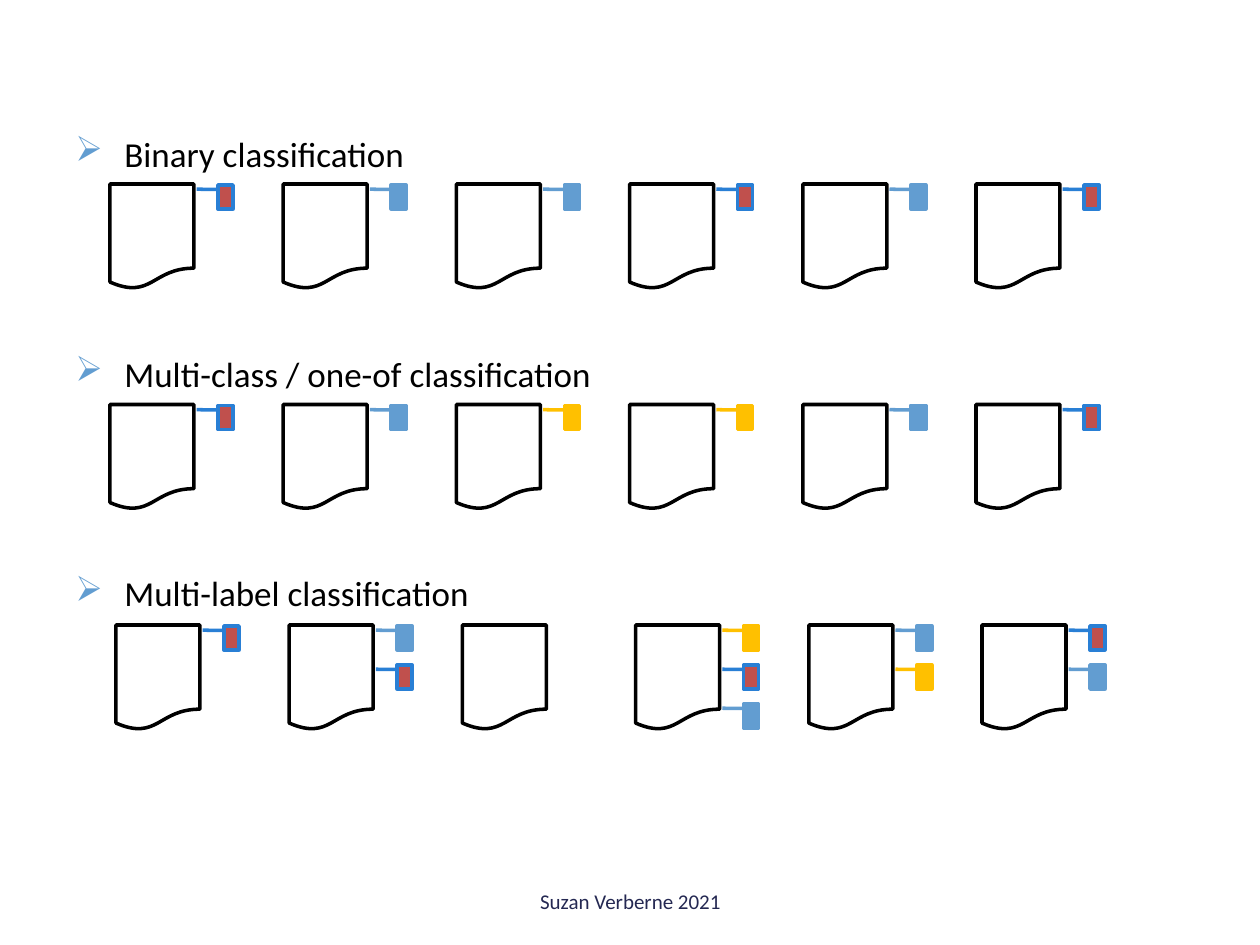
import pptx
import pptx.util
import pptx.dml.color
import pptx.enum.shapes
import pptx.enum.text
from lxml import etree
from pptx.oxml.ns import qn

RGB = pptx.dml.color.RGBColor
KIND = pptx.enum.shapes.MSO_SHAPE
ALIGN = pptx.enum.text.PP_ALIGN
ANCHOR = pptx.enum.text.MSO_ANCHOR

BLACK = RGB(0x00, 0x00, 0x00)
WHITE = RGB(0xFF, 0xFF, 0xFF)
NAVY = RGB(0x24, 0x28, 0x52)
SKY = RGB(0x62, 0x9D, 0xD1)
BLUE = RGB(0x29, 0x7F, 0xD5)
BRICK = RGB(0xC0, 0x50, 0x4D)
GOLD = RGB(0xFF, 0xC0, 0x00)

RED_TAG = (BRICK, BLUE)
SKY_TAG = (SKY, SKY)
GOLD_TAG = (GOLD, GOLD)

SCALE = 914400 / 126
ROW_STEP = 220.5
COL_STEP = 173.2
TAG_STEP = 39
CALLOUT = (0.188, -0.083, 0.188, -0.167, 0.179, -1.422)

ROWS = [
    ("Binary classification", 110,
     [[RED_TAG], [SKY_TAG], [SKY_TAG], [RED_TAG], [SKY_TAG], [RED_TAG]]),
    ("Multi-class / one-of classification", 110,
     [[RED_TAG], [SKY_TAG], [GOLD_TAG], [GOLD_TAG], [SKY_TAG], [RED_TAG]]),
    ("Multi-label classification", 116,
     [[RED_TAG], [SKY_TAG, RED_TAG], [], [GOLD_TAG, RED_TAG, SKY_TAG],
      [SKY_TAG, GOLD_TAG], [RED_TAG, SKY_TAG]]),
]


def px(num):
    """Turn pixels into EMU."""
    return pptx.util.Emu(round(num * SCALE))


def add_shape(shapes, kind, box, fill, line):
    """Add a filled, outlined preset shape without a shadow."""
    shape = shapes.add_shape(kind, *map(px, box))
    shape.shadow.inherit = False
    shape.fill.solid()
    shape.fill.fore_color.rgb = fill
    shape.line.color.rgb = line
    shape.line.width = pptx.util.Pt(2)
    return shape


def add_tag(shapes, left, top, fill, line):
    """Add a label whose leader reaches back to its document."""
    tag = add_shape(shapes, KIND.LINE_CALLOUT_2, (left, top, 15, 24), fill, line)
    for pos, val in enumerate(CALLOUT):
        tag.adjustments[pos] = val


def add_doc(slide, left, top, tags):
    """Add a document grouped with its labels."""
    shapes = slide.shapes.add_group_shape().shapes if tags else slide.shapes
    add_shape(shapes, KIND.FLOWCHART_DOCUMENT, (left, top, 84, 105), WHITE, BLACK)
    for num, (fill, line) in enumerate(tags):
        add_tag(shapes, left + 108, top + 1 + num * TAG_STEP, fill, line)


def add_text(slide, box, lines, size, color):
    """Add a text box with one paragraph per line."""
    frame = slide.shapes.add_textbox(*map(px, box)).text_frame
    frame.word_wrap = True
    frame.text = "\n".join(lines)
    for para in frame.paragraphs:
        for run in para.runs:
            run.font.name = "Calibri"
            run.font.size = pptx.util.Pt(size)
            run.font.color.rgb = color
    return frame


def add_bullet(para):
    """Give a paragraph a hanging arrow bullet."""
    props = para._p.get_or_add_pPr()
    props.set("marL", str(px(49)))
    props.set("indent", str(-px(49)))
    tint = etree.SubElement(props, qn("a:buClr"))
    etree.SubElement(tint, qn("a:srgbClr"), val=str(SKY))
    etree.SubElement(props, qn("a:buChar"), char="➢")


def add_heads(slide):
    """Add the row headings, spaced to match the rows."""
    heads = [head for head, _, _ in ROWS]
    frame = add_text(slide, (63, 126, 1134, 735), heads, 20, BLACK)
    for num, para in enumerate(frame.paragraphs):
        if num:
            para.space_before = pptx.util.Pt(101.6)
        add_bullet(para)


def add_foot(slide):
    """Add the centred footer."""
    frame = add_text(slide, (431, 876, 399, 50), ["Suzan Verberne 2021"], 12, NAVY)
    frame.vertical_anchor = ANCHOR.MIDDLE
    frame.paragraphs[0].alignment = ALIGN.CENTER


def main():
    """Build and save the slide."""
    deck = pptx.Presentation()
    deck.slide_width, deck.slide_height = px(1260), px(945)
    slide = deck.slides.add_slide(deck.slide_layouts[6])
    add_heads(slide)
    for row, (_, left, docs) in enumerate(ROWS):
        for col, tags in enumerate(docs):
            add_doc(slide, left + col * COL_STEP, 184 + row * ROW_STEP, tags)
    add_foot(slide)
    deck.save("out.pptx")


if __name__ == "__main__":
    main()
